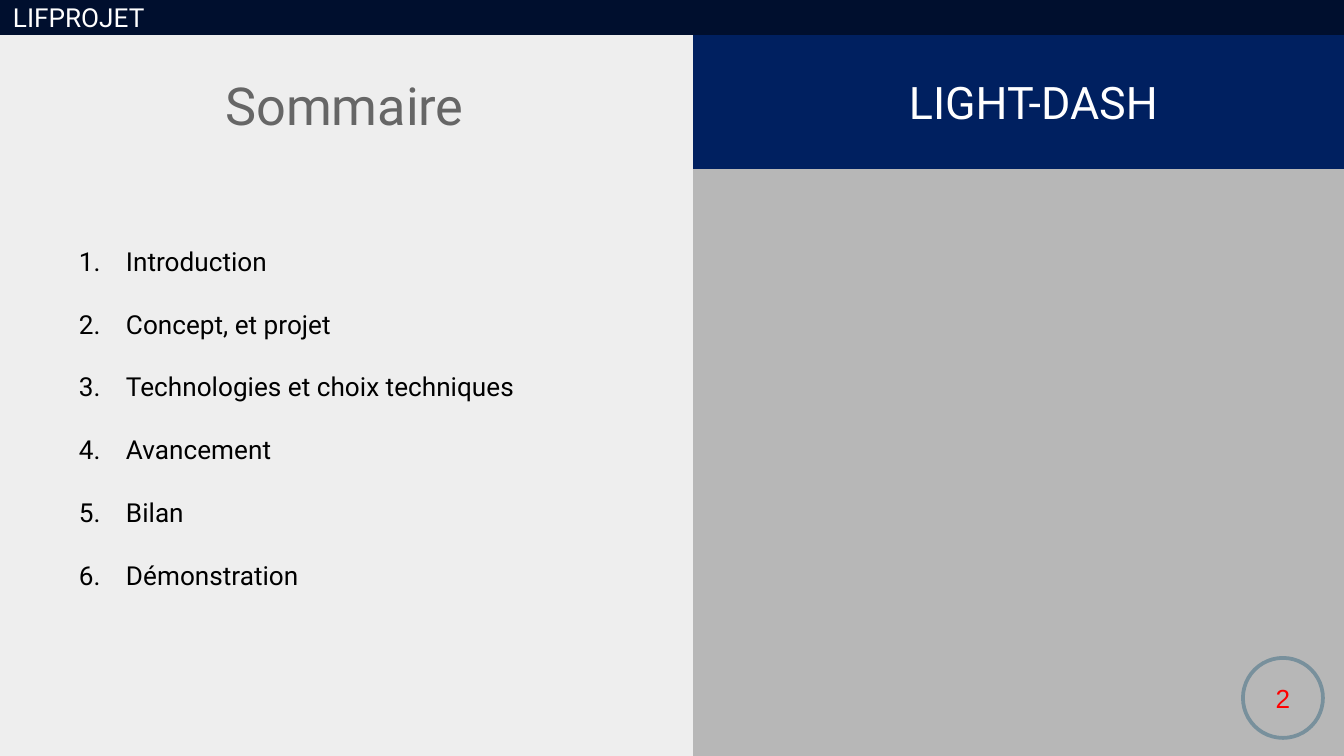
from dataclasses import dataclass

from lxml import etree
from pptx import Presentation
from pptx.dml.color import RGBColor
from pptx.enum.shapes import MSO_SHAPE
from pptx.enum.text import MSO_ANCHOR, MSO_AUTO_SIZE, PP_ALIGN
from pptx.oxml.ns import qn
from pptx.util import Emu, Pt

RECT, OVAL = MSO_SHAPE.RECTANGLE, MSO_SHAPE.OVAL
LEFT, CENTER = PP_ALIGN.LEFT, PP_ALIGN.CENTER
TOP, MIDDLE = MSO_ANCHOR.TOP, MSO_ANCHOR.MIDDLE
NO_AUTOFIT = MSO_AUTO_SIZE.NONE

SLIDE_W, SLIDE_H = 1344, 756
BAR_H = 35
INSET = 13
TOPICS = [
    "Introduction",
    "Concept, et projet",
    "Technologies et choix techniques",
    "Avancement",
    "Bilan",
    "Démonstration",
]


@dataclass
class Box:
    x: int
    y: int
    w: int
    h: int


@dataclass
class TextStyle:
    size: int
    color: str
    font: str = "Roboto"
    align: PP_ALIGN = LEFT
    anchor: MSO_ANCHOR = TOP
    left: int = INSET
    top: int = INSET


@dataclass
class Panel:
    box: Box
    fill: str = ""
    line: str = ""
    preset: MSO_SHAPE = RECT
    text: str = ""
    style: TextStyle | None = None


def px(length: int) -> Emu:
    return Emu(round(length * 914400 * 10 / SLIDE_W))


def rgb(color: str) -> RGBColor:
    return RGBColor.from_string(color)


def write(shape, text: str, style: TextStyle) -> None:
    frame = shape.text_frame
    frame.text = text
    frame.word_wrap = True
    frame.auto_size = NO_AUTOFIT
    frame.vertical_anchor = style.anchor
    frame.margin_left, frame.margin_top = px(style.left), px(style.top)
    frame.margin_right = frame.margin_bottom = px(INSET)
    for paragraph in frame.paragraphs:
        paragraph.alignment = style.align
        paragraph.space_before = Pt(0)
        for run in paragraph.runs:
            run.font.name = style.font
            run.font.size = Pt(style.size)
            run.font.color.rgb = rgb(style.color)


def draw_panel(slide, panel: Panel) -> None:
    box = panel.box
    shape = slide.shapes.add_shape(panel.preset, px(box.x), px(box.y), px(box.w), px(box.h))
    shape.shadow.inherit = False
    if panel.fill:
        shape.fill.solid()
        shape.fill.fore_color.rgb = rgb(panel.fill)
    else:
        shape.fill.background()
    if panel.line:
        shape.line.color.rgb = rgb(panel.line)
        shape.line.width = Pt(2)
    else:
        shape.line.fill.background()
    if panel.style:
        write(shape, panel.text, panel.style)


def fill_placeholder(placeholder, box: Box, text: str, style: TextStyle) -> None:
    placeholder.left, placeholder.top = px(box.x), px(box.y)
    placeholder.width, placeholder.height = px(box.w), px(box.h)
    write(placeholder, text, style)
    # Bring the placeholder in front of the panels drawn so far
    placeholder.element.getparent().append(placeholder.element)


def number_paragraph(paragraph, color: str) -> None:
    paragraph.line_spacing = 2.0
    props = paragraph._p.get_or_add_pPr()
    props.set("marL", str(px(67)))
    props.set("indent", str(-px(47)))
    bullet_color = etree.SubElement(props, qn("a:buClr"))
    etree.SubElement(bullet_color, qn("a:srgbClr"), val=color)
    etree.SubElement(props, qn("a:buFont"), typeface="Roboto")
    etree.SubElement(props, qn("a:buAutoNum"), type="arabicPeriod")


def main() -> None:
    deck = Presentation()
    deck.slide_width, deck.slide_height = px(SLIDE_W), px(SLIDE_H)
    slide = deck.slides.add_slide(deck.slide_layouts[1])
    title, contents = slide.placeholders
    slide.background.fill.solid()
    slide.background.fill.fore_color.rgb = rgb("B7B7B7")

    # Project banner, with the contents panel over its left half
    banner_style = TextStyle(24, "FFFFFF", anchor=MIDDLE, left=909)
    draw_panel(slide, Panel(Box(0, BAR_H, SLIDE_W, 134), "002060",
                            text="LIGHT-DASH", style=banner_style))
    draw_panel(slide, Panel(Box(0, BAR_H, 693, SLIDE_H - BAR_H), "EEEEEE"))

    # Numbered contents and title
    fill_placeholder(contents, Box(46, 169, 597, 516), "\n".join(TOPICS),
                     TextStyle(14, "000000", top=45))
    for topic in contents.text_frame.paragraphs:
        number_paragraph(topic, "000000")
    fill_placeholder(title, Box(46, 60, 597, 85), "Sommaire",
                     TextStyle(28, "666666", align=CENTER))

    # Course bar and page number
    draw_panel(slide, Panel(Box(0, 0, SLIDE_W, BAR_H), "000F2E", text="LIFPROJET",
                            style=TextStyle(14, "FFFFFF", anchor=MIDDLE)))
    page_style = TextStyle(14, "FF0000", "Arial", CENTER, MIDDLE)
    draw_panel(slide, Panel(Box(1243, 658, 80, 80), line="78909C", preset=OVAL,
                            text="2", style=page_style))

    deck.save("out.pptx")


if __name__ == "__main__":
    main()
